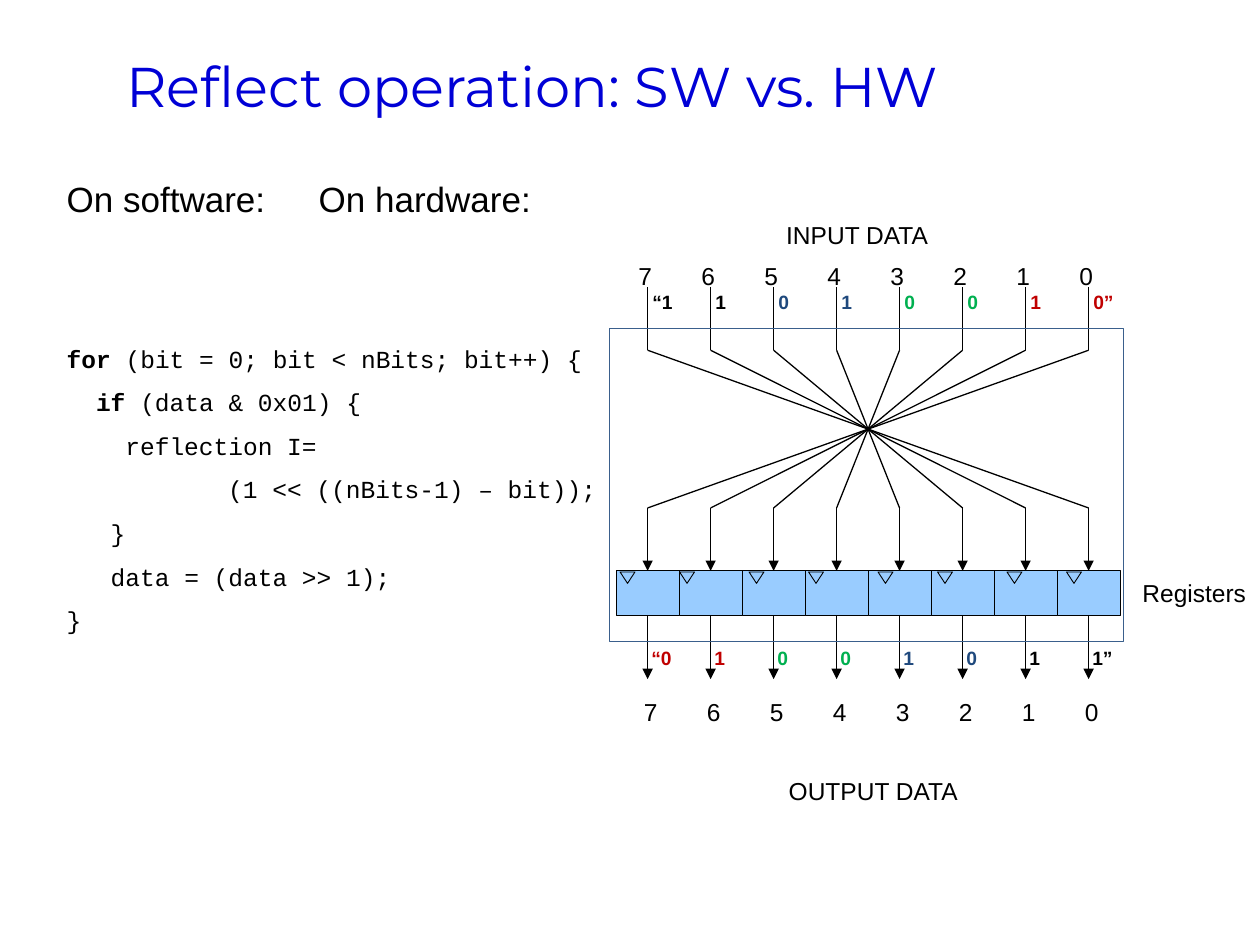
from dataclasses import dataclass
from itertools import accumulate

from lxml import etree
from pptx import Presentation
from pptx import util as u
from pptx.dml import color as dml
from pptx.enum import shapes, text
from pptx.oxml import ns

Cm, Pt = u.Cm, u.Pt


@dataclass(frozen=True)
class Theme:
    sans: str = "Arial"
    mono: str = "Courier New"
    display: str = "Montserrat"
    title: str = "0000D6"
    ink: str = "000000"
    register: str = "99CCFF"
    frame: str = "3A5F8C"
    navy: str = "1F497D"
    green: str = "00B050"
    red: str = "C00000"
    title_size: int = 32
    heading_size: int = 20
    label_size: int = 14
    bit_size: int = 11
    thin: float = 0.5
    wire: float = 0.74


theme = Theme()

heading = "Reflect operation: SW vs. HW"
columns = "On software:\tOn hardware:"
code = [
    (0, [("for", True), (" (bit = 0; bit < nBits; bit++) {", False)]),
    (2, [("if ", True), ("(data & 0x01) {", False)]),
    (4, [("reflection I=", False)]),
    (11, [("(1 << ((nBits-1) – bit));", False)]),
    (3, [("}", False)]),
    (3, [("data = (data >> 1);", False)]),
    (0, [("}", False)]),
]
labels = [
    ("INPUT DATA", 15.6, 4.32, 3.45),
    ("OUTPUT DATA", 15.65, 15.52, 4.01),
    ("Registers", 22.78, 11.53, 2.62),
]
bit_numbers = "7\t6\t5\t4\t3\t2\t1\t0"
number_rows = [(12.62, 5.13), (12.73, 13.92)]
number_steps = [1.23, 1.37, 1.23, 1.23, 1.23, 1.37, 1.23]
bit_rows = [
    (12.9, 5.72, [("“1\t1\t", theme.ink), ("0\t1\t", theme.navy),
                  ("0\t0\t", theme.green), ("1\t0”", theme.red)]),
    (12.88, 12.9, [("“0\t1\t", theme.red), ("0\t0\t", theme.green),
                   ("1\t0\t", theme.navy), ("1\t1”", theme.ink)]),
]
bit_steps = [1.38, 1.3, 1.3, 1.3, 1.19, 1.4, 1.3]

bits = 8
pitch = 1.27
register_left, register_top, register_height = 12.42, 11.51, 0.9
input_top, cross_top, cross_bottom = 5.79, 7.06, 10.24
output_top, output_bottom = 12.42, 13.69
row_width, label_height = 9.83, 0.84
code_char = 0.296


def rgb(value):
    return dml.RGBColor.from_string(value)


def write(paragraph, parts, size=theme.label_size, font=theme.sans, color=theme.ink,
          bold=False, before=0, indent=0, tabs=()):
    for part in [(parts, {})] if isinstance(parts, str) else parts:
        run = paragraph.add_run()
        run.text, changes = part
        run.font.name = font
        run.font.size = Pt(size)
        run.font.bold = changes.get("bold", bold)
        run.font.color.rgb = rgb(changes.get("color", color))
    paragraph.alignment = text.PP_ALIGN.LEFT
    paragraph.line_spacing = 1.0
    paragraph.space_before = Pt(before)
    properties = paragraph._p.get_or_add_pPr()
    properties.set("marL", str(Cm(indent)))
    properties.set("indent", "0")
    etree.SubElement(properties, ns.qn("a:buNone"))
    if tabs:
        stops = etree.SubElement(properties, ns.qn("a:tabLst"))
        for tab in tabs:
            etree.SubElement(stops, ns.qn("a:tab"), pos=str(Cm(tab)), algn="l")


def place(part, left, top, width, height):
    part.left, part.top, part.width, part.height = map(Cm, (left, top, width, height))


def add_label(content, left, top, width, wrap=False, **style):
    frame = slide.shapes.add_textbox(Cm(left), Cm(top), Cm(width), Cm(label_height)).text_frame
    frame.word_wrap = wrap
    write(frame.paragraphs[0], content, **style)


def add_outline(preset, left, top, width, height, fill=None, line=theme.ink):
    outline = slide.shapes.add_shape(preset, Cm(left), Cm(top), Cm(width), Cm(height))
    outline.shadow.inherit = False
    if fill:
        outline.fill.solid()
        outline.fill.fore_color.rgb = rgb(fill)
    else:
        outline.fill.background()
    outline.line.color.rgb = rgb(line)
    outline.line.width = Pt(theme.thin)
    return outline


def add_wire(x1, y1, x2, y2, arrow=False):
    wire = slide.shapes.add_connector(
        shapes.MSO_CONNECTOR.STRAIGHT, Cm(x1), Cm(y1), Cm(x2), Cm(y2))
    wire.line.color.rgb = rgb(theme.ink)
    wire.line.width = Pt(theme.wire)
    if arrow:
        etree.SubElement(wire.line._get_or_add_ln(), ns.qn("a:tailEnd"), type="triangle")
    etree.SubElement(wire._element.spPr, ns.qn("a:effectLst"))


deck = Presentation()
deck.slide_width, deck.slide_height = Cm(25.4), Cm(19.05)
slide = deck.slides.add_slide(deck.slide_layouts[1])

title = slide.shapes.title
place(title, 2.29, 0.51, 22, 2.41)
write(title.text_frame.paragraphs[0], heading, size=theme.title_size,
      font=theme.display, color=theme.title)

body = slide.placeholders[1]
place(body, 1.09, 3.45, 23.29, 14.25)
body.text_frame.auto_size = text.MSO_AUTO_SIZE.NONE
write(body.text_frame.paragraphs[0], columns, size=theme.heading_size, tabs=[10.87])
for number, (spaces, parts) in enumerate(code):
    write(body.text_frame.add_paragraph(), [(words, {"bold": bold}) for words, bold in parts],
          font=theme.mono, before=8.1 if number else 70.9, indent=spaces * code_char)

centers = [register_left + pitch * (bit + 0.5) for bit in range(bits)]
for bit, center in enumerate(centers):
    add_outline(shapes.MSO_SHAPE.RECTANGLE, register_left + pitch * bit, register_top,
                pitch, register_height, theme.register)
    add_wire(center, input_top, center, cross_top)
    add_wire(center, cross_top, centers[-1 - bit], cross_bottom)
    add_wire(center, cross_bottom, center, register_top, arrow=True)
    add_wire(center, output_top, center, output_bottom, arrow=True)

for bit in range(bits):
    pair, second = divmod(bit, 2)
    clock = add_outline(shapes.MSO_SHAPE.ISOSCELES_TRIANGLE, 12.5 + 2.6 * pair + 1.2 * second,
                        11.53, 0.3, 0.23, theme.register)
    clock.rotation = 180

add_outline(shapes.MSO_SHAPE.RECTANGLE, 12.29, 6.63, 10.36, 6.3, line=theme.frame)

for words, left, top, width in labels:
    add_label(words, left, top, width)
for left, top in number_rows:
    add_label(bit_numbers, left, top, row_width, wrap=True, tabs=accumulate(number_steps))
for left, top, parts in bit_rows:
    add_label([(words, {"color": color}) for words, color in parts], left, top, row_width,
              wrap=True, size=theme.bit_size, bold=True, tabs=accumulate(bit_steps))

deck.save("out.pptx")
